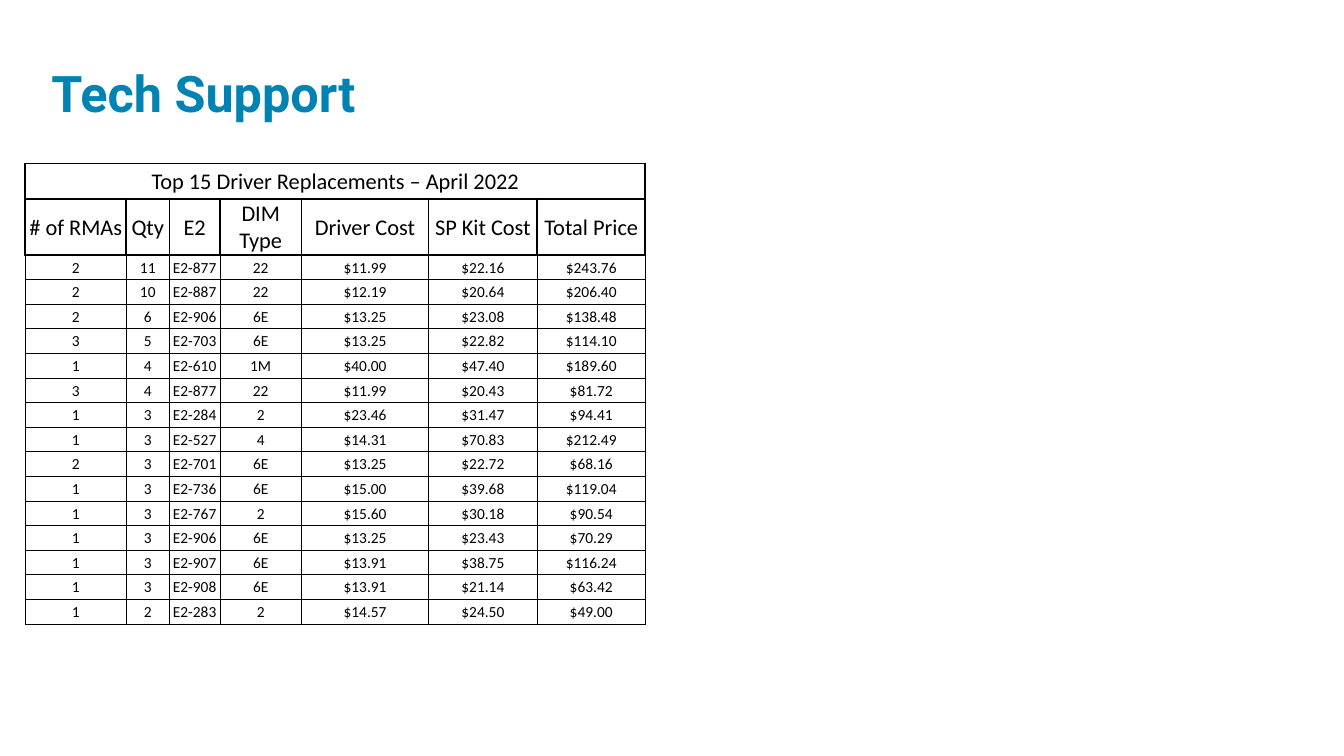
import dataclasses

import lxml.etree
import pptx
import pptx.dml.color
import pptx.enum.text
import pptx.oxml.ns
import pptx.util
from pptx.util import Cm


@dataclasses.dataclass(frozen=True)
class Theme:
    title_color: str = "0083B3"
    ink: str = "000000"
    title_font: str = "Roboto"
    table_font: str = "Calibri"
    title_size: int = 36
    heading_size: int = 16
    body_size: int = 11
    thick: float = 1.5
    thin: float = 0.5


theme = Theme()


def format_text(paragraph, font_name, size, color, bold=False):
    for run in paragraph.runs:
        run.font.name = font_name
        run.font.size = pptx.util.Pt(size)
        run.font.bold = bold
        run.font.color.rgb = pptx.dml.color.RGBColor.from_string(color)


def set_borders(cell, widths):
    """Draw the left, right, top and bottom borders, widths in points."""
    properties = cell._tc.get_or_add_tcPr()
    for index, (side, width) in enumerate(zip("LRTB", widths)):
        line = lxml.etree.Element(pptx.oxml.ns.qn(f"a:ln{side}"), w=str(pptx.util.Pt(width)))
        fill = lxml.etree.SubElement(line, pptx.oxml.ns.qn("a:solidFill"))
        lxml.etree.SubElement(fill, pptx.oxml.ns.qn("a:srgbClr"), val=theme.ink)
        properties.insert(index, line)


# Slide
presentation = pptx.Presentation()
presentation.slide_width = Cm(33.87)
presentation.slide_height = Cm(19.05)
slide = presentation.slides.add_slide(presentation.slide_layouts[5])

# Title
title = slide.shapes.title
title.left, title.top, title.width, title.height = Cm(1.04), Cm(0.43), Cm(24.13), Cm(2.77)
title.text_frame.text = "Tech Support"
title.text_frame.word_wrap = True
title.text_frame.auto_size = pptx.enum.text.MSO_AUTO_SIZE.NONE
title.text_frame.vertical_anchor = pptx.enum.text.MSO_ANCHOR.BOTTOM
title_paragraph = title.text_frame.paragraphs[0]
title_paragraph.alignment = pptx.enum.text.PP_ALIGN.LEFT
title_paragraph.line_spacing = 0.8
format_text(title_paragraph, theme.title_font, theme.title_size, theme.title_color, bold=True)

# Table content
caption = "Top 15 Driver Replacements – April 2022"
headings = ["# of RMAs", "Qty", "E2", "DIM Type", "Driver Cost", "SP Kit Cost", "Total Price"]
replacements = [
    ("2", "11", "E2-877", "22", "$11.99", "$22.16", "$243.76"),
    ("2", "10", "E2-887", "22", "$12.19", "$20.64", "$206.40"),
    ("2", "6", "E2-906", "6E", "$13.25", "$23.08", "$138.48"),
    ("3", "5", "E2-703", "6E", "$13.25", "$22.82", "$114.10"),
    ("1", "4", "E2-610", "1M", "$40.00", "$47.40", "$189.60"),
    ("3", "4", "E2-877", "22", "$11.99", "$20.43", "$81.72"),
    ("1", "3", "E2-284", "2", "$23.46", "$31.47", "$94.41"),
    ("1", "3", "E2-527", "4", "$14.31", "$70.83", "$212.49"),
    ("2", "3", "E2-701", "6E", "$13.25", "$22.72", "$68.16"),
    ("1", "3", "E2-736", "6E", "$15.00", "$39.68", "$119.04"),
    ("1", "3", "E2-767", "2", "$15.60", "$30.18", "$90.54"),
    ("1", "3", "E2-906", "6E", "$13.25", "$23.43", "$70.29"),
    ("1", "3", "E2-907", "6E", "$13.91", "$38.75", "$116.24"),
    ("1", "3", "E2-908", "6E", "$13.91", "$21.14", "$63.42"),
    ("1", "2", "E2-283", "2", "$14.57", "$24.50", "$49.00"),
]
rows = [[caption] + [""] * (len(headings) - 1), headings, *replacements]
column_widths = [2.54, 1.09, 1.27, 2.06, 3.2, 2.74, 2.72]
row_heights = [0.89, 0.84] + [0.62] * len(replacements)

# Table grid
table = slide.shapes.add_table(
    len(rows), len(headings), Cm(0.64), Cm(4.12), Cm(sum(column_widths)), Cm(sum(row_heights))
).table
table.first_row = False
table.horz_banding = False
for column, width in zip(table.columns, column_widths):
    column.width = Cm(width)
for row, height in zip(table.rows, row_heights):
    row.height = Cm(height)
table.cell(0, 0).merge(table.cell(0, len(headings) - 1))

# Table cells
for row_index, row in enumerate(rows):
    is_heading = row_index < 2
    size = theme.heading_size if is_heading else theme.body_size
    edge = theme.thick if is_heading else theme.thin
    top_edge = theme.thick if row_index <= 2 else theme.thin
    for column_index, text in enumerate(row):
        cell = table.cell(row_index, column_index)
        cell.fill.background()
        set_borders(cell, (edge, edge, top_edge, edge))
        cell.margin_left = cell.margin_right = cell.margin_top = Cm(0.03)
        cell.margin_bottom = 0
        cell.vertical_anchor = pptx.enum.text.MSO_ANCHOR.MIDDLE
        if not cell.is_spanned:
            cell.text_frame.text = text
            paragraph = cell.text_frame.paragraphs[0]
            paragraph.alignment = pptx.enum.text.PP_ALIGN.CENTER
            format_text(paragraph, theme.table_font, size, theme.ink)

presentation.save("out.pptx")
